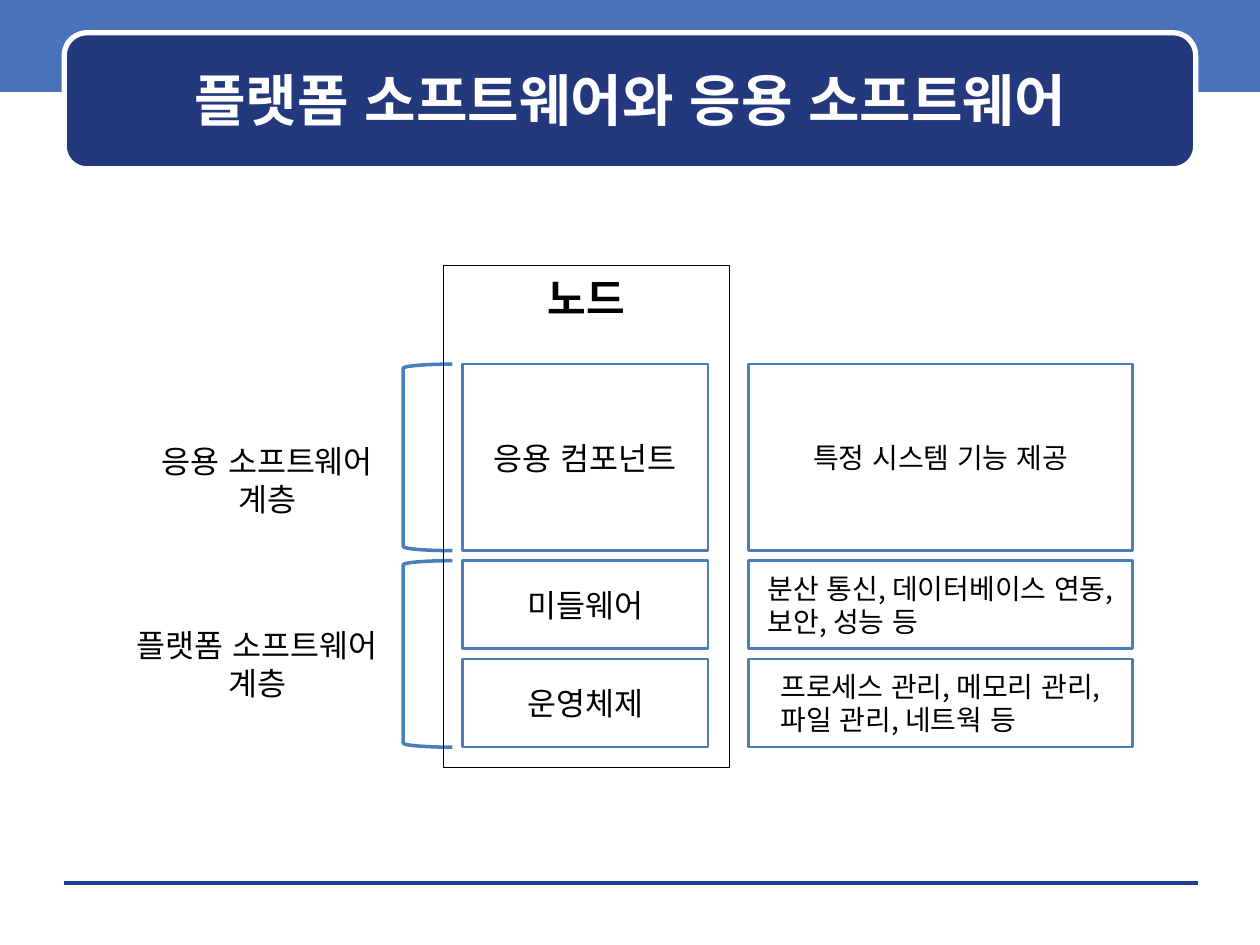
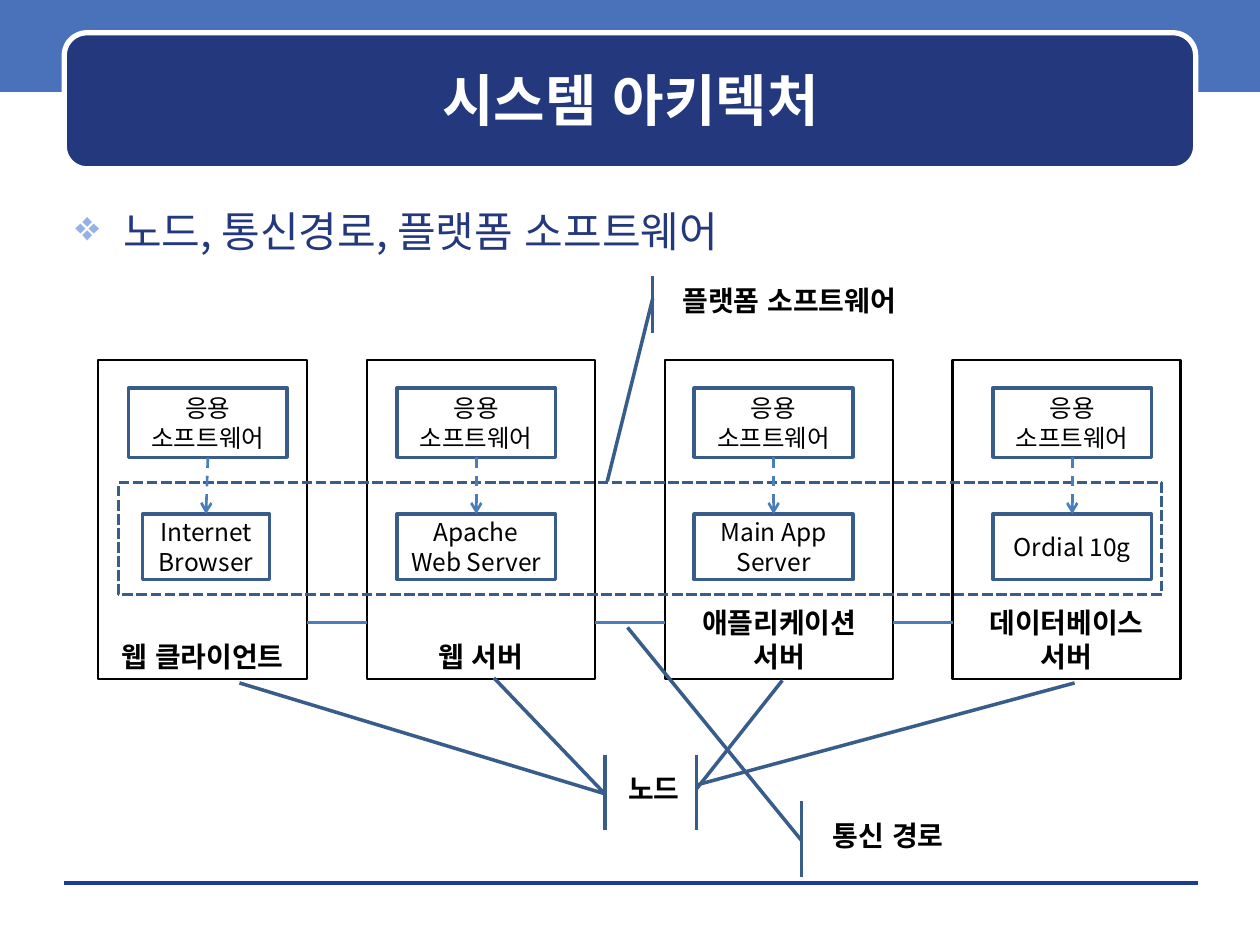
from lxml.etree import SubElement
from pptx import Presentation
from pptx.dml.color import RGBColor
from pptx.enum.dml import MSO_LINE
from pptx.enum.lang import MSO_LANGUAGE_ID
from pptx.enum.shapes import MSO_CONNECTOR, MSO_SHAPE as SHAPE
from pptx.enum.text import MSO_ANCHOR as ANCHOR, PP_ALIGN as ALIGN
from pptx.oxml.ns import qn
from pptx.util import Inches, Pt

FONT = "Noto Sans CJK KR"
BAND, NAVY, RULE, BULLET = "4972BB", "23387D", "1A3D97", "96B1E6"
BLUE, STEEL, BLACK, WHITE = "4A7EBB", "385D8A", "000000", "FFFFFF"
hex_color = RGBColor.from_string

deck = Presentation()
deck.slide_width, deck.slide_height = Inches(10), Inches(7.5)
COL, ROW = deck.slide_width / 100, deck.slide_height / 75


def place(slide, preset, left, top, width, height, text="", size=18, bold=False,
          color=BLACK, fill=None, line=None, weight=1.5, anchor=ANCHOR.MIDDLE,
          align=ALIGN.CENTER, spacing=None):
    """Add a shape, or a text box when preset is None, on the column and row grid."""
    area = int(left * COL), int(top * ROW), int(width * COL), int(height * ROW)
    if preset is None:
        shape = slide.shapes.add_textbox(*area)
    else:
        shape = slide.shapes.add_shape(preset, *area)
        shape.shadow.inherit = False
    for paint, paint_color in ((shape.fill, fill), (shape.line.fill, line)):
        if paint_color:
            paint.solid()
            paint.fore_color.rgb = hex_color(paint_color)
        else:
            paint.background()
    if line:
        shape.line.width = Pt(weight)
    frame = shape.text_frame
    frame.word_wrap, frame.vertical_anchor = True, anchor
    if text:
        frame.text = text
        look = {"size": Pt(size), "bold": bold, "name": FONT,
                "language_id": MSO_LANGUAGE_ID.KOREAN}
        for paragraph in frame.paragraphs:
            paragraph.alignment, paragraph.line_spacing = align, spacing
            for run in paragraph.runs:
                for key, value in look.items():
                    setattr(run.font, key, value)
                run.font.color.rgb = hex_color(color)
                SubElement(run.font._element, qn("a:ea"), typeface=FONT)
    return shape


def connect(slide, start, end, color, weight):
    link = slide.shapes.add_connector(
        MSO_CONNECTOR.STRAIGHT, int(start[0] * COL), int(start[1] * ROW),
        int(end[0] * COL), int(end[1] * ROW))
    link.line.color.rgb = hex_color(color)
    link.line.width = Pt(weight)
    SubElement(link._element.spPr, qn("a:effectLst"))
    return link


# Shared header, footer rule and title
slides = []
for title in ("플랫폼 소프트웨어와 응용 소프트웨어", "시스템 아키텍처"):
    slide = deck.slides.add_slide(deck.slide_layouts[6])
    place(slide, SHAPE.RECTANGLE, 0, -0.3, 100, 7.6, fill=BAND)
    connect(slide, (5.1, 70.1), (95.1, 70.1), RULE, 0)
    place(slide, SHAPE.ROUNDED_RECTANGLE, 5.1, 2.6, 89.8, 10.8,
          fill=NAVY, line=WHITE, weight=3)
    place(slide, None, 6, 3.5, 88.1, 8.8, title, size=32, bold=True, color=WHITE)
    slides.append(slide)
layers, architecture = slides

# Slide 1: software layers inside a node
LAYER_TOP, LAYER_GAP, GROUP_HEIGHT = 28.9, 0.8, 14.8
layer_rows = [
    ("응용 컴포넌트", "특정 시스템 기능 제공", 14.8),
    ("미들웨어", "분산 통신, 데이터베이스 연동, 보안, 성능 등", 7),
    ("운영체제", "프로세스 관리, 메모리 관리, 파일 관리, 네트웍 등", 7),
]
top = LAYER_TOP
for layer, role, height in layer_rows:
    place(layers, SHAPE.RECTANGLE, 36.7, top, 19.5, height, layer, line=BLUE)
    role_box = place(layers, SHAPE.RECTANGLE, 59.4, top, 30.5, height, role,
                     size=16, line=BLUE, align=ALIGN.LEFT)
    # centres the left-aligned lines as one block
    role_box.text_frame._txBody.bodyPr.set("anchorCtr", "1")
    top += height + LAYER_GAP

groups = [("응용 소프트웨어\n계층", 10.2, 34.6), ("플랫폼 소프트웨어\n계층", 9.4, 49.2)]
for index, (group, left, label_top) in enumerate(groups):
    place(layers, SHAPE.LEFT_BRACKET, 32, LAYER_TOP + index * (GROUP_HEIGHT + LAYER_GAP),
          3.9, GROUP_HEIGHT, line=BLUE, weight=2)
    place(layers, None, left, label_top, 22, 7, group, anchor=ANCHOR.TOP)
place(layers, SHAPE.RECTANGLE, 35.2, 21.1, 22.7, 39.8, "노드", size=24, bold=True,
      line=BLACK, weight=0.75, anchor=ANCHOR.TOP)

# Slide 2: nodes, communication paths and platform software
topic = place(architecture, None, 5, 15.8, 90, 6, "노드, 통신경로, 플랫폼 소프트웨어",
              size=24, color=NAVY, anchor=ANCHOR.TOP, align=ALIGN.LEFT)
topic_format = topic.text_frame.paragraphs[0]._p.get_or_add_pPr()
topic_format.set("marL", str(Inches(0.38)))
topic_format.set("indent", str(-Inches(0.38)))
SubElement(SubElement(topic_format, qn("a:buClr")), qn("a:srgbClr"), val=BULLET)
SubElement(topic_format, qn("a:buChar"), char="❖")

# node name, left, width; inner boxes' left; platform name, left, width
nodes = [
    ("웹 클라이언트", 7.8, 16.6, 10.2, "Internet Browser", 11.3, 10.1),
    ("웹 서버", 29.1, 18.1, 31.5, "Apache Web Server", 31.5, 12.6),
    ("애플리케이션\n서버", 52.8, 18.1, 55.1, "Main App Server", 55.1, 12.6),
    ("데이터베이스\n서버", 75.6, 18.1, 78.8, "Ordial 10g", 78.8, 12.6),
]
for name, left, width, *_ in nodes:
    node = place(architecture, SHAPE.RECTANGLE, left, 28.6, width, 25.3, name, size=16,
                 bold=True, line=BLACK, weight=1.25, anchor=ANCHOR.BOTTOM)
    node.text_frame.margin_top = Inches(0.2)
for near, far in zip(nodes, nodes[1:]):
    connect(architecture, (near[1] + near[2], 49.4), (far[1], 49.4), BLUE, 1.5)

platform_zone = place(architecture, SHAPE.RECTANGLE, 9.4, 38.3, 82.8, 8.9,
                      line=STEEL, weight=2)
platform_zone.line.dash_style = MSO_LINE.SQUARE_DOT

for _, _, _, app_left, platform, platform_left, platform_width in nodes:
    app = place(architecture, SHAPE.RECTANGLE, app_left, 30.8, 12.6, 5.5,
                "응용\n소프트웨어", size=14, line=STEEL, weight=2)
    runtime = place(architecture, SHAPE.RECTANGLE, platform_left, 40.8, platform_width,
                    5.2, platform, size=14, line=STEEL, weight=2)
    dependency = connect(architecture, (app_left, 36.3), (platform_left, 40.8), BLUE, 1.5)
    dependency.begin_connect(app, 2)
    dependency.end_connect(runtime, 0)
    dependency.line.dash_style = MSO_LINE.DASH
    SubElement(dependency.line._get_or_add_ln(), qn("a:tailEnd"), type="arrow")

# text, area, start of the leader on the accent bar, end of the leader
NODE_AREA = 48.6, 59.9, 6.6, 6
callouts = [
    ("노드", NODE_AREA, (48, 63), (39.2, 53.8)),
    ("", NODE_AREA, (48, 63), (19, 54.2)),
    ("", NODE_AREA, (55.3, 62.6), (62.1, 54)),
    ("", NODE_AREA, (55.3, 62.3), (85.3, 54.2)),
    ("플랫폼 소프트웨어", (52, 21.9, 21.3, 4.5), (51.8, 23.7), (48.2, 38.2)),
    ("통신 경로", (64.6, 63.6, 11.8, 6), (63.6, 66.7), (49.8, 49.8)),
]
for text, area, bar, target in callouts:
    callout = place(architecture, SHAPE.LINE_CALLOUT_1_ACCENT_BAR, *area, text, size=16,
                    bold=True, line=STEEL, weight=2, spacing=0.7)
    left, top, width, height = area
    for index, (x, y) in enumerate((bar, target)):
        callout.adjustments[2 * index] = (y - top) / height
        callout.adjustments[2 * index + 1] = (x - left) / width

deck.save("out.pptx")
